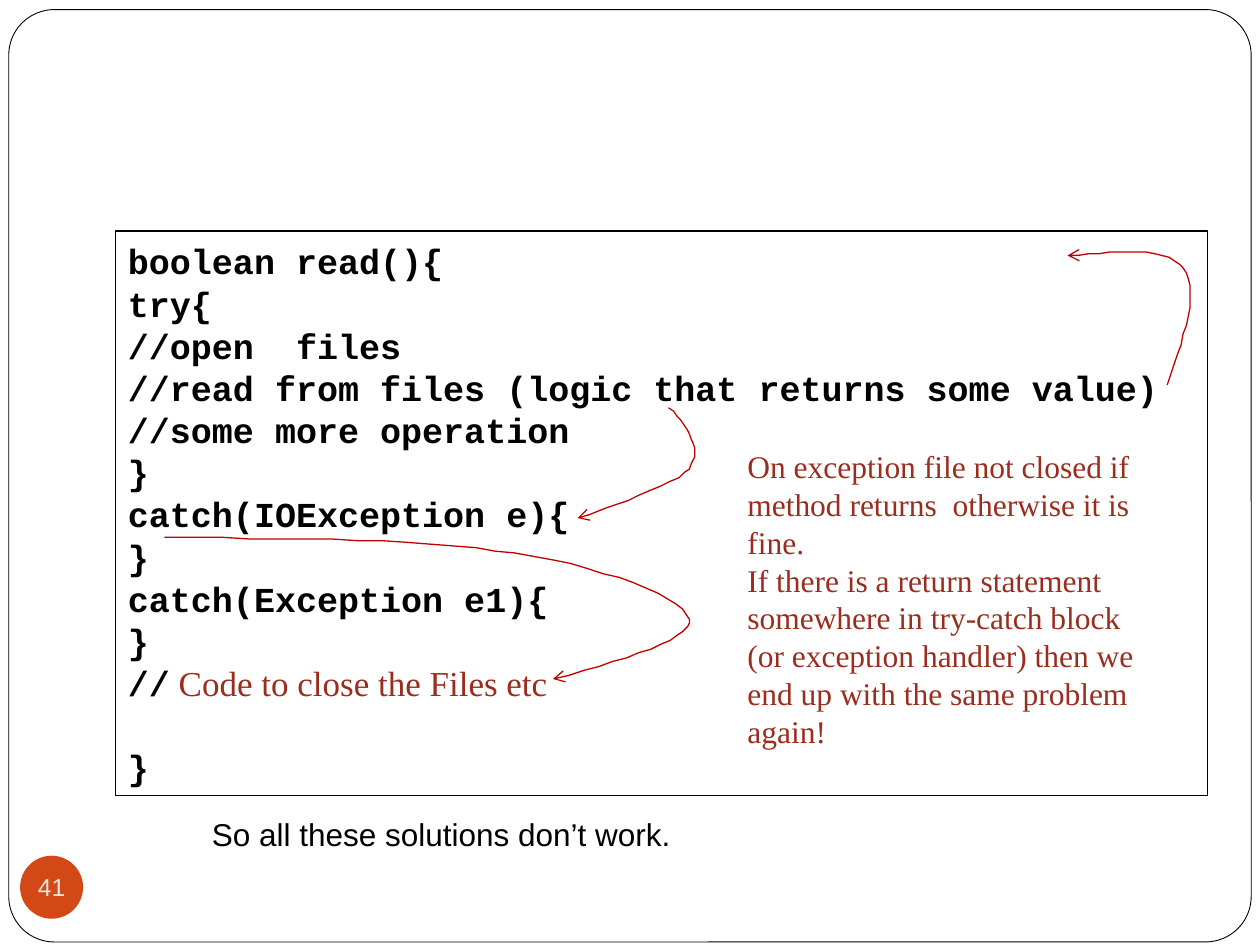
import pptx
import pptx.dml.color
import pptx.enum.shapes
import pptx.enum.text
import pptx.oxml.ns
import pptx.util
from lxml import etree

Pt = pptx.util.Pt
RGBColor = pptx.dml.color.RGBColor
SHAPE = pptx.enum.shapes.MSO_SHAPE

BLACK = RGBColor(0x00, 0x00, 0x00)
WHITE = RGBColor(0xFF, 0xFF, 0xFF)
BRICK = RGBColor(0x9B, 0x2D, 0x1F)
RED = RGBColor(0xC0, 0x00, 0x00)
ORANGE = RGBColor(0xD3, 0x48, 0x17)
CREAM = RGBColor(0xE9, 0xE5, 0xDC)

CODE = [
    "boolean read(){",
    "try{",
    "//open  files",
    "//read from files (logic that returns some value)",
    "//some more operation",
    "}",
    "catch(IOException e){",
    "}",
    "catch(Exception e1){",
    "}",
    "//",
    "}",
]
CLEANUP_LINE = 10
CLEANUP = " Code to close the Files etc"
CODE_PITCH = 24.1
REMARKS = [
    "On exception file not closed if method returns  otherwise it is fine.",
    "If there is a return statement somewhere in try-catch block (or exception handler) "
    "then we end up with the same problem again!",
]
REMARK_PITCH = 21.6
CONCLUSION = "So all these solutions don’t work."
SLIDE_NUMBER = "41"

# Each flow: a start point, then cubic segments of two controls and an end, in points.
FLOWS = [
    [(382.3, 232.6), (393.1, 244.8), (402.5, 257), (393.8, 267.8),
     (385.2, 277.9), (330.5, 295.9), (330.5, 295.9)],
    [(93.6, 307.4), (169.2, 307.4), (244.8, 308.2), (294.5, 316.1),
     (344.9, 324), (390.2, 341.3), (393.8, 353.5),
     (397.4, 365), (357.1, 376.6), (316.1, 388.1)],
    [(667.4, 219.6), (676.8, 192.2), (685.4, 164.9), (676.1, 153.4),
     (666.7, 141.1), (637.9, 143.3), (609.8, 146.2)],
]
STEPS = 14


def format_run(run, font, size, color, bold=False):
    run.font.name = font
    run.font.size = Pt(size)
    run.font.color.rgb = color
    run.font.bold = bold


def add_panel(slide, kind, box, fill=None, line_width=None):
    panel = slide.shapes.add_shape(kind, *map(Pt, box))
    panel.shadow.inherit = False
    if fill is None:
        panel.fill.background()
    else:
        panel.fill.solid()
        panel.fill.fore_color.rgb = fill
    if line_width is None:
        panel.line.fill.background()
    else:
        panel.line.color.rgb = BLACK
        panel.line.width = Pt(line_width)
    return panel


def write_lines(frame, lines, font, size, color, bold=False, pitch=None):
    frame.word_wrap = True
    frame.text = "\n".join(lines)
    for paragraph in frame.paragraphs:
        paragraph.alignment = pptx.enum.text.PP_ALIGN.LEFT
        if pitch:
            paragraph.line_spacing = Pt(pitch)
        format_run(paragraph.runs[0], font, size, color, bold)


def curve_points(flow):
    """Sample the cubic segments of a flow, without its start point."""
    points = []
    for i in range(0, len(flow) - 1, 3):
        for step in range(1, STEPS + 1):
            t = step / STEPS
            weights = ((1 - t) ** 3, 3 * t * (1 - t) ** 2, 3 * t ** 2 * (1 - t), t ** 3)
            points.append(tuple(
                sum(w * point[axis] for w, point in zip(weights, flow[i:i + 4]))
                for axis in (0, 1)))
    return points


def add_flow(slide, flow):
    builder = slide.shapes.build_freeform(*flow[0], scale=float(Pt(1)))
    builder.add_line_segments(curve_points(flow), close=False)
    arrow = builder.convert_to_shape()
    arrow.shadow.inherit = False
    arrow.fill.background()
    arrow.line.color.rgb = RED
    arrow.line.width = Pt(0.75)
    line = arrow.line.fill._xPr
    etree.SubElement(line, pptx.oxml.ns.qn("a:round"))
    etree.SubElement(line, pptx.oxml.ns.qn("a:tailEnd"), type="arrow")


def main():
    deck = pptx.Presentation()
    deck.slide_width, deck.slide_height = Pt(720), Pt(540)
    slide = deck.slides.add_slide(deck.slide_layouts[6])

    border = add_panel(slide, SHAPE.ROUNDED_RECTANGLE, (5, 5.5, 710, 532.8), WHITE, 0.5)
    border.adjustments[0] = 0.049

    listing = add_panel(slide, SHAPE.RECTANGLE, (66, 132, 624, 322.6), line_width=0.75)
    code = listing.text_frame
    code.vertical_anchor = pptx.enum.text.MSO_ANCHOR.TOP
    code.margin_top = Pt(5)
    write_lines(code, CODE, "Courier New", 20, BLACK, True, CODE_PITCH)
    cleanup = code.paragraphs[CLEANUP_LINE].add_run()
    cleanup.text = CLEANUP
    format_run(cleanup, "Times New Roman", 20, BRICK)
    code.paragraphs[-1].space_before = Pt(CODE_PITCH)

    remarks = slide.shapes.add_textbox(Pt(420), Pt(252), Pt(252), Pt(203.8))
    write_lines(remarks.text_frame, REMARKS, "Times New Roman", 18, BRICK, pitch=REMARK_PITCH)

    for flow in FLOWS:
        add_flow(slide, flow)

    conclusion = slide.shapes.add_textbox(Pt(114), Pt(462), Pt(444), Pt(30))
    write_lines(conclusion.text_frame, [CONCLUSION], "Arial", 18, BLACK)

    badge = add_panel(slide, SHAPE.OVAL, (11.5, 489, 36, 36), ORANGE)
    number = badge.text_frame
    number.margin_left = number.margin_right = number.margin_top = number.margin_bottom = 0
    number.vertical_anchor = pptx.enum.text.MSO_ANCHOR.MIDDLE
    write_lines(number, [SLIDE_NUMBER], "Arial", 14, CREAM)
    number.word_wrap = False
    number.paragraphs[0].alignment = pptx.enum.text.PP_ALIGN.CENTER

    deck.save("out.pptx")


if __name__ == "__main__":
    main()
